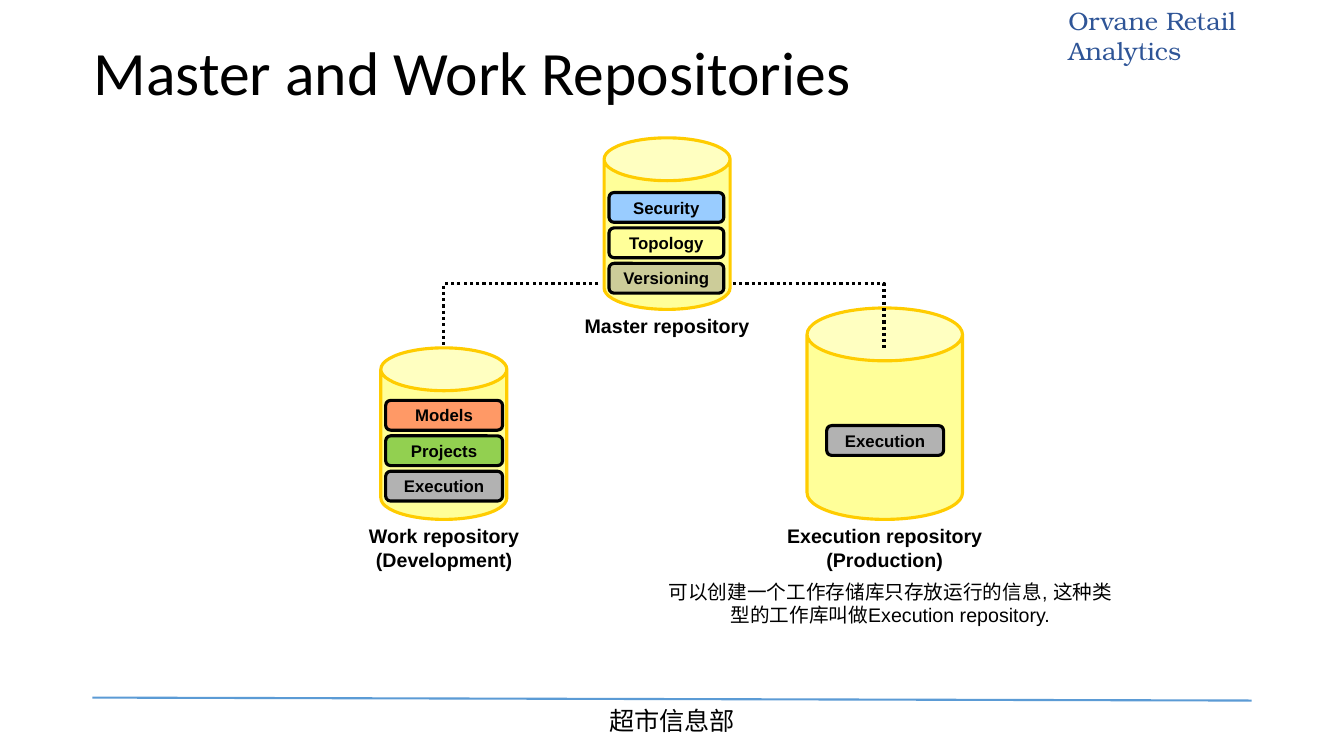
from lxml import etree
from pptx import Presentation
from pptx.dml.color import RGBColor
from pptx.enum.dml import MSO_LINE
from pptx.enum.shapes import MSO_CONNECTOR, MSO_SHAPE
from pptx.enum.text import MSO_ANCHOR, MSO_AUTO_SIZE, PP_ALIGN
from pptx.oxml.ns import qn
from pptx.util import Pt

CAN = MSO_SHAPE.CAN
ROUNDED = MSO_SHAPE.ROUNDED_RECTANGLE
LEFT, CENTER = PP_ALIGN.LEFT, PP_ALIGN.CENTER
TOP, MIDDLE = MSO_ANCHOR.TOP, MSO_ANCHOR.MIDDLE
DOTTED = MSO_LINE.ROUND_DOT
CJK_FONT = "Noto Sans CJK SC"
BLACK, YELLOW, GOLD, GREY = "000000", "FFFF99", "FFCC00", "B2B2B2"
TAG_H = 21.3
TAG_STEP = 25.3

# can box, label box, label lines, first tag position, tag width, tags
REPOSITORIES = [
    ((431.5, 98.5, 90, 122.5), (387.5, 221, 178, 24.5), ["Master repository"],
     (435, 137.5), 82,
     [("Security", "99CCFF"), ("Topology", YELLOW), ("Versioning", "CCCC99")]),
    ((272, 248.5, 90, 122.5), (232, 371, 170.5, 41),
     ["Work repository", "(Development)"], (275.5, 286), 83.5,
     [("Models", "FF9966"), ("Projects", "92D050"), ("Execution", GREY)]),
    ((576.5, 220, 111, 151), (532, 371, 200, 41),
     ["Execution repository", "(Production)"], (590.5, 304), 83.5,
     [("Execution", GREY)]),
]
LINKS = [
    [(427.5, 202.5), (317, 202.5), (317, 248)],
    [(523.5, 202.5), (631.5, 202.5), (631.5, 248.5)],
]


def rgb(value):
    return RGBColor.from_string(value)


def write(tf, lines, align=CENTER, color=BLACK, **font):
    """Fill a text frame with one paragraph per line."""
    for i, line in enumerate(lines):
        p = tf.paragraphs[0] if i == 0 else tf.add_paragraph()
        p.alignment = align
        r = p.add_run()
        r.text = line
        for name, value in font.items():
            setattr(r.font, name, value)
        r.font.color.rgb = rgb(color)
        if not line.isascii():
            etree.SubElement(r.font._element, qn("a:ea"), typeface=CJK_FONT)


def add_text(s, box, lines, **fmt):
    tf = s.shapes.add_textbox(*map(Pt, box)).text_frame
    tf.word_wrap = True
    tf.auto_size = MSO_AUTO_SIZE.SHAPE_TO_FIT_TEXT
    write(tf, lines, **fmt)


def add_block(s, kind, box, adjust, fill, line):
    sp = s.shapes.add_shape(kind, *map(Pt, box))
    sp.shadow.inherit = False
    sp.adjustments[0] = adjust
    sp.fill.solid()
    sp.fill.fore_color.rgb = rgb(fill)
    sp.line.color.rgb = rgb(line)
    sp.line.width = Pt(2.25)
    return sp


def add_tag(s, box, text, fill):
    tf = add_block(s, ROUNDED, box, 0.17, fill, BLACK).text_frame
    tf.margin_left = tf.margin_right = Pt(2)
    tf.vertical_anchor = MIDDLE
    write(tf, [text], name="Arial", size=Pt(12), bold=True)


def add_repository(s, can, label_box, label, first_tag, tag_w, tags):
    add_block(s, CAN, can, 0.34, YELLOW, GOLD)
    x, y = first_tag
    for i, (text, fill) in enumerate(tags):
        add_tag(s, (x, y + i * TAG_STEP, tag_w, TAG_H), text, fill)
    add_text(s, label_box, label, name="Arial", size=Pt(14), bold=True)


def add_link(s, points):
    start, *rest = [(Pt(x), Pt(y)) for x, y in points]
    builder = s.shapes.build_freeform(*start)
    builder.add_line_segments(rest, close=False)
    sp = builder.convert_to_shape()
    sp.shadow.inherit = False
    sp.fill.background()
    sp.line.color.rgb = rgb(BLACK)
    sp.line.width = Pt(2.25)
    sp.line.dash_style = DOTTED


def add_footer_rule(s):
    ends = map(Pt, (66, 498.3, 894, 500.4))
    rule = s.shapes.add_connector(MSO_CONNECTOR.STRAIGHT, *ends)
    rule.line.color.rgb = rgb("5B9BD5")
    rule.line.width = Pt(1.5)
    etree.SubElement(rule._element.spPr, qn("a:effectLst"))


def set_title(s, text):
    sp = s.shapes.title
    sp.left, sp.top, sp.width, sp.height = map(Pt, (66, 29, 828, 104))
    tf = sp.text_frame
    tf.margin_left = tf.margin_right = tf.margin_top = tf.margin_bottom = Pt(1)
    tf.vertical_anchor = TOP
    write(tf, [text], align=LEFT, name="Calibri", size=Pt(44))
    tf.paragraphs[0].line_spacing = 0.9


def main():
    prs = Presentation()
    prs.slide_width, prs.slide_height = Pt(960), Pt(540)
    s = prs.slides.add_slide(prs.slide_layouts[5])
    add_text(s, (756, 0, 204, 50), ["Orvane Retail Analytics"], align=LEFT,
             color="2F5597", name="TeX Gyre Bonum", size=Pt(18))
    add_footer_rule(s)
    add_text(s, (403, 500.4, 154, 29), ["超市信息部"], name=CJK_FONT, size=Pt(18))
    set_title(s, "Master and Work Repositories")
    for repository in REPOSITORIES:
        add_repository(s, *repository)
    for points in LINKS:
        add_link(s, points)
    note = "可以创建一个工作存储库只存放运行的信息, 这种类型的工作库叫做Execution repository."
    add_text(s, (470, 410.5, 332, 41), [note], name="Arial", size=Pt(14))
    prs.save("out.pptx")


if __name__ == "__main__":
    main()
